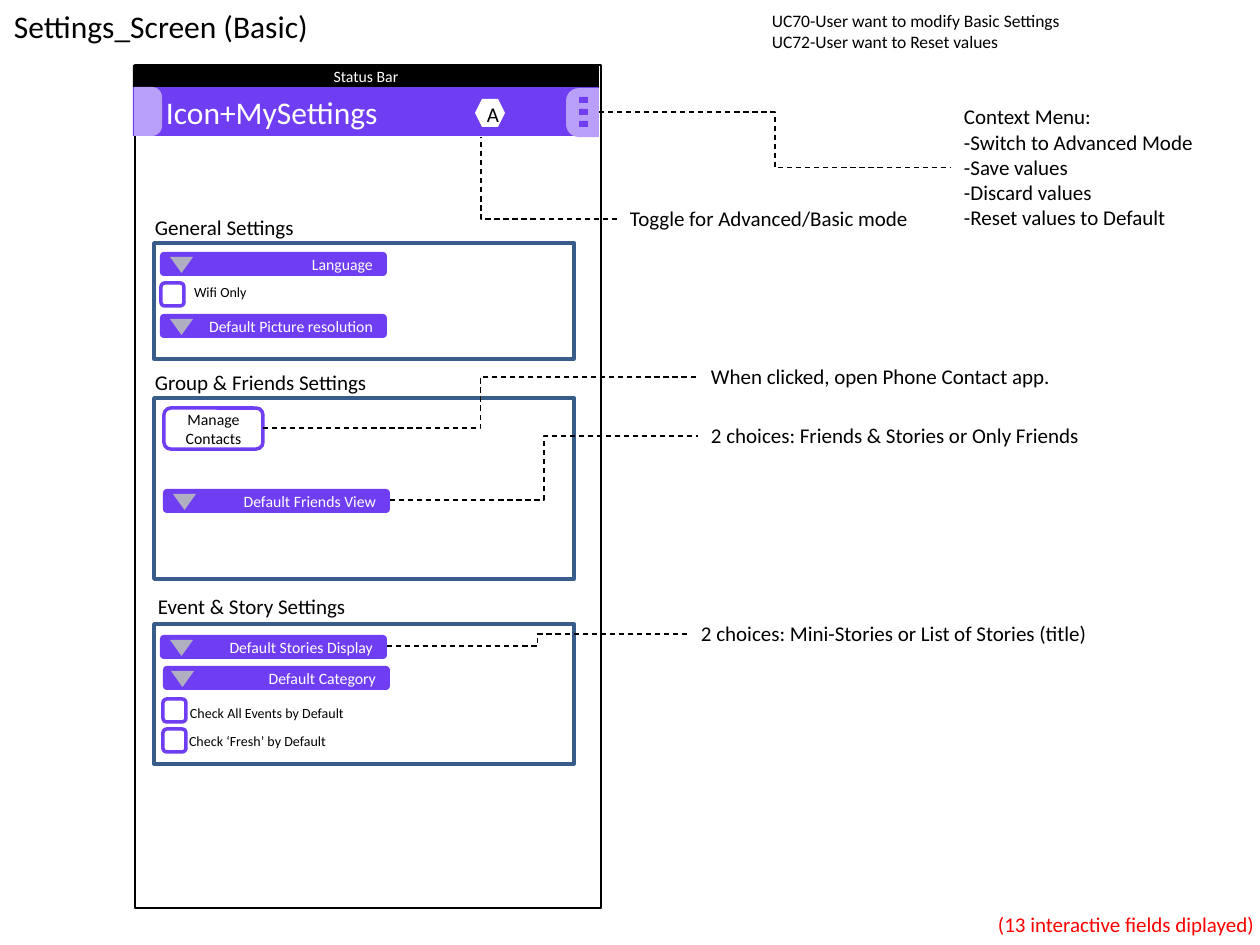
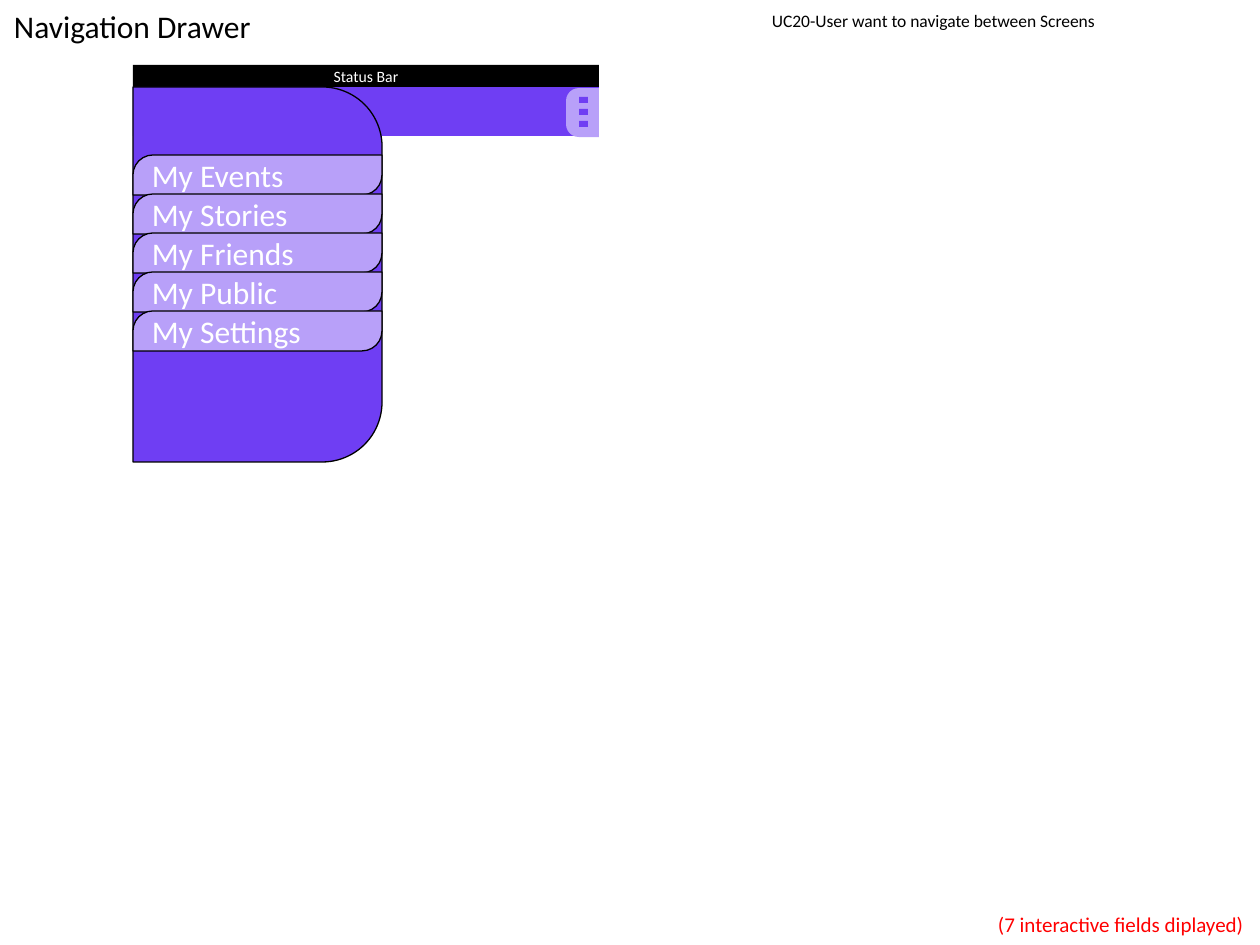
from pptx import Presentation
from pptx.dml.color import RGBColor
from pptx.enum.dml import MSO_LINE
from pptx.enum.shapes import MSO_CONNECTOR, MSO_SHAPE
from pptx.enum.text import MSO_ANCHOR, PP_ALIGN
from pptx.oxml.ns import qn
from pptx.util import Inches, Pt
from lxml.etree import SubElement

BLACK = RGBColor(0x00, 0x00, 0x00)
WHITE = RGBColor(0xFF, 0xFF, 0xFF)
RED = RGBColor(0xFF, 0x00, 0x00)
PURPLE = RGBColor(0x6F, 0x3E, 0xF3)
LILAC = RGBColor(0xB8, 0xA0, 0xF9)
STEEL = RGBColor(0x38, 0x5D, 0x8A)
GREY = RGBColor(0xB0, 0xAF, 0xC1)
FONT = "Calibri"
PX = Inches(1) / 126
PHONE = (133, 65, 466, 843)
STATUS_H, BAR_H = 22, 49


def px(*lengths):
    """Turn pixel lengths into EMU."""
    return [round(length * PX) for length in lengths]


def write(shape, text, size=12, color=BLACK, align=PP_ALIGN.LEFT,
          anchor=MSO_ANCHOR.MIDDLE, insets=(13, 6, 13, 6)):
    """Write lines of text into a shape with one format."""
    frame = shape.text_frame
    frame.word_wrap = True
    frame.vertical_anchor = anchor
    (frame.margin_left, frame.margin_top,
     frame.margin_right, frame.margin_bottom) = px(*insets)
    frame.text = text
    for paragraph in frame.paragraphs:
        paragraph.alignment = align
        font = paragraph.font
        font.name, font.size, font.color.rgb = FONT, Pt(size), color


def label(slide, box, text, **fmt):
    """Place free-standing text."""
    write(slide.shapes.add_textbox(*px(*box)), text, anchor=MSO_ANCHOR.TOP, **fmt)


def block(slide, kind, box, fill=None, line=None, width=0.75, adj=(), turn=0):
    """Place a preset shape that covers the box after its turn."""
    x, y, w, h = box
    if turn in (90, 270):
        x, y, w, h = x + (w - h) / 2, y + (h - w) / 2, h, w
    shape = slide.shapes.add_shape(kind, *px(x, y, w, h))
    shape.shadow.inherit = False
    shape.rotation = turn
    for index, value in enumerate(adj):
        shape.adjustments[index] = value
    if fill is None:
        shape.fill.background()
    else:
        shape.fill.solid()
        shape.fill.fore_color.rgb = fill
    if line is None:
        shape.line.fill.background()
    else:
        shape.line.color.rgb, shape.line.width = line, Pt(width)
    return shape


def callout(slide, target, box, text, single_bend=False):
    """Write a remark and lead a dashed elbow between it and its target."""
    x, y, _, h = box
    remark = (x, y + h / 2)
    ends = (remark, target) if single_bend else (target, remark)
    elbow = slide.shapes.add_connector(MSO_CONNECTOR.ELBOW, *px(*ends[0], *ends[1]))
    elbow.line.color.rgb, elbow.line.width = BLACK, Pt(0.75)
    elbow.line.dash_style = MSO_LINE.DASH
    properties = elbow.element.spPr
    SubElement(properties, qn("a:effectLst"))
    if single_bend:
        properties.find(qn("a:prstGeom")).set("prst", "bentConnector2")
    label(slide, box, text)


def page(deck, title, use_cases, field_count):
    """Add a slide with its title, use cases and field count."""
    slide = deck.slides.add_slide(deck.slide_layouts[6])
    label(slide, (1, 1, 400, 50), title, size=18)
    label(slide, (759, 4, 467, 55), use_cases, size=10)
    label(slide, (985, 906, 275, 38), f"({field_count} interactive fields diplayed)",
          color=RED, insets=(13, 6, 0, 6))
    return slide


def phone_bars(slide, box, title=""):
    """Draw the status bar and the app bar with its menu button."""
    x, y, w, _ = box
    bar_y = y + STATUS_H
    app_bar = block(slide, MSO_SHAPE.RECTANGLE, (x, bar_y, w, BAR_H), PURPLE)
    if title:
        write(app_bar, title, size=18, color=WHITE, insets=(33, 6, 13, 6))
    status = block(slide, MSO_SHAPE.RECTANGLE, (x, y, w, STATUS_H), BLACK)
    write(status, "Status Bar", size=9, color=WHITE, align=PP_ALIGN.CENTER)
    block(slide, MSO_SHAPE.ROUND_2_SAME_RECTANGLE, (x + w - 33, bar_y + 1, 33, BAR_H),
          LILAC, adj=(0.39, 0), turn=270)
    for dot in range(3):
        block(slide, MSO_SHAPE.RECTANGLE,
              (x + w - 20, bar_y + 10 + 12 * dot, 9, 6), PURPLE)


def panel(slide, box, heading, heading_at=(-12, -34)):
    """Draw a settings group with its heading above."""
    x, y = box[:2]
    block(slide, MSO_SHAPE.RECTANGLE, box, WHITE, STEEL, 2)
    label(slide, (x + heading_at[0], y + heading_at[1], 287, 38), heading)


def dropdown(slide, x, y, text, arrow_x=10):
    """Draw a drop-down field with its arrow."""
    field = block(slide, MSO_SHAPE.ROUNDED_RECTANGLE, (x, y, 227, 24), PURPLE)
    write(field, text, size=9, color=WHITE, align=PP_ALIGN.RIGHT)
    block(slide, MSO_SHAPE.ISOSCELES_TRIANGLE, (x + arrow_x, y + 5, 23, 16),
          GREY, turn=180)


def checkbox(slide, x, y, text, text_at):
    """Draw a check box with its caption."""
    block(slide, MSO_SHAPE.ROUNDED_RECTANGLE, (x, y, 23, 23), WHITE, PURPLE, 2)
    label(slide, (x + text_at[0], y + text_at[1], 220, 30), text, size=8)


def general_settings(slide, box):
    """Fill the general group."""
    x, y = box[:2]
    panel(slide, box, "General Settings")
    dropdown(slide, x + 6, y + 9, "Language")
    checkbox(slide, x + 7, y + 40, "Wifi Only", (20, -5))
    dropdown(slide, x + 6, y + 71, "Default Picture resolution")


def friends_settings(slide, box):
    """Fill the group and friends group with its remarks."""
    x, y = box[:2]
    panel(slide, box, "Group & Friends Settings")
    manage = block(slide, MSO_SHAPE.ROUNDED_RECTANGLE, (x + 10, y + 10, 99, 41),
                   WHITE, PURPLE, 2)
    write(manage, "Manage Contacts", size=9, align=PP_ALIGN.CENTER)
    dropdown(slide, x + 9, y + 91, "Default Friends View")
    callout(slide, (x + 109, y + 30), (x + 544, y - 40, 481, 38),
            "When clicked, open Phone Contact app.")
    callout(slide, (x + 236, y + 102), (x + 544, y + 19, 481, 38),
            "2 choices: Friends & Stories or Only Friends")


def story_settings(slide, box):
    """Fill the event and story group with its remark."""
    x, y = box[:2]
    panel(slide, box, "Event & Story Settings", (-9, -36))
    dropdown(slide, x + 6, y + 11, "Default Stories Display")
    dropdown(slide, x + 9, y + 42, "Default Category", arrow_x=8)
    checkbox(slide, x + 9, y + 75, "Check All Events by Default", (14, -1))
    checkbox(slide, x + 9, y + 105, "Check ‘Fresh’ by Default", (13, -2))
    callout(slide, (x + 233, y + 22), (x + 534, y - 9, 481, 38),
            "2 choices: Mini-Stories or List of Stories (title)")


def settings_bar(slide, box):
    """Draw the settings app bar with its toggle, home tab and remarks."""
    x, y, w, _ = box
    phone_bars(slide, box, "Icon+MySettings")
    block(slide, MSO_SHAPE.ROUND_2_SAME_RECTANGLE, (x + 1, y + STATUS_H, 28, BAR_H),
          LILAC, adj=(0.36, 0), turn=90)
    toggle = block(slide, MSO_SHAPE.HEXAGON, (x + 342, y + 34, 30, 28), WHITE)
    write(toggle, "A", align=PP_ALIGN.CENTER, insets=(6, 3, 0, 0))
    callout(slide, (x + 348, y + 72), (x + 484, y + 135, 326, 38),
            "Toggle for Advanced/Basic mode", single_bend=True)
    callout(slide, (x + w, y + 47), (x + 818, y + 33, 270, 139),
            "Context Menu:\n-Switch to Advanced Mode\n-Save values\n"
            "-Discard values\n-Reset values to Default")


def drawer(slide, box):
    """Draw the navigation drawer with its entries."""
    x, y, w, _ = box
    block(slide, MSO_SHAPE.ROUND_2_SAME_RECTANGLE, box, PURPLE, BLACK,
          adj=(0.24, 0), turn=90)
    entries = ("My Events", "My Stories", "My Friends", "My Public", "My Settings")
    for row, entry in enumerate(entries):
        tab = block(slide, MSO_SHAPE.ROUND_2_DIAG_RECTANGLE,
                    (x, y + 68 + 39 * row, w, 40), LILAC, BLACK, adj=(0.5, 0))
        write(tab, entry, size=18, color=WHITE)


def settings_slide(deck):
    """Build the basic settings screen."""
    slide = page(deck, "Settings_Screen (Basic)",
                 "UC70-User want to modify Basic Settings\n"
                 "UC72-User want to Reset values", 13)
    x, y, w, h = PHONE
    block(slide, MSO_SHAPE.RECTANGLE, (x + 2, y, w, h), line=BLACK, width=1.5)
    general_settings(slide, (x + 21, y + 178, 420, 116))
    friends_settings(slide, (x + 21, y + 333, 420, 181))
    story_settings(slide, (x + 21, y + 559, 420, 140))
    settings_bar(slide, PHONE)


def drawer_slide(deck):
    """Build the navigation drawer screen."""
    slide = page(deck, "Navigation Drawer",
                 "UC20-User want to navigate between Screens", 7)
    phone_bars(slide, PHONE)
    drawer(slide, (PHONE[0], PHONE[1] + STATUS_H, 249, 375))


def main():
    """Build and save the deck."""
    deck = Presentation()
    deck.slide_width, deck.slide_height = px(1260, 945)
    settings_slide(deck)
    drawer_slide(deck)
    deck.save("out.pptx")


if __name__ == "__main__":
    main()
